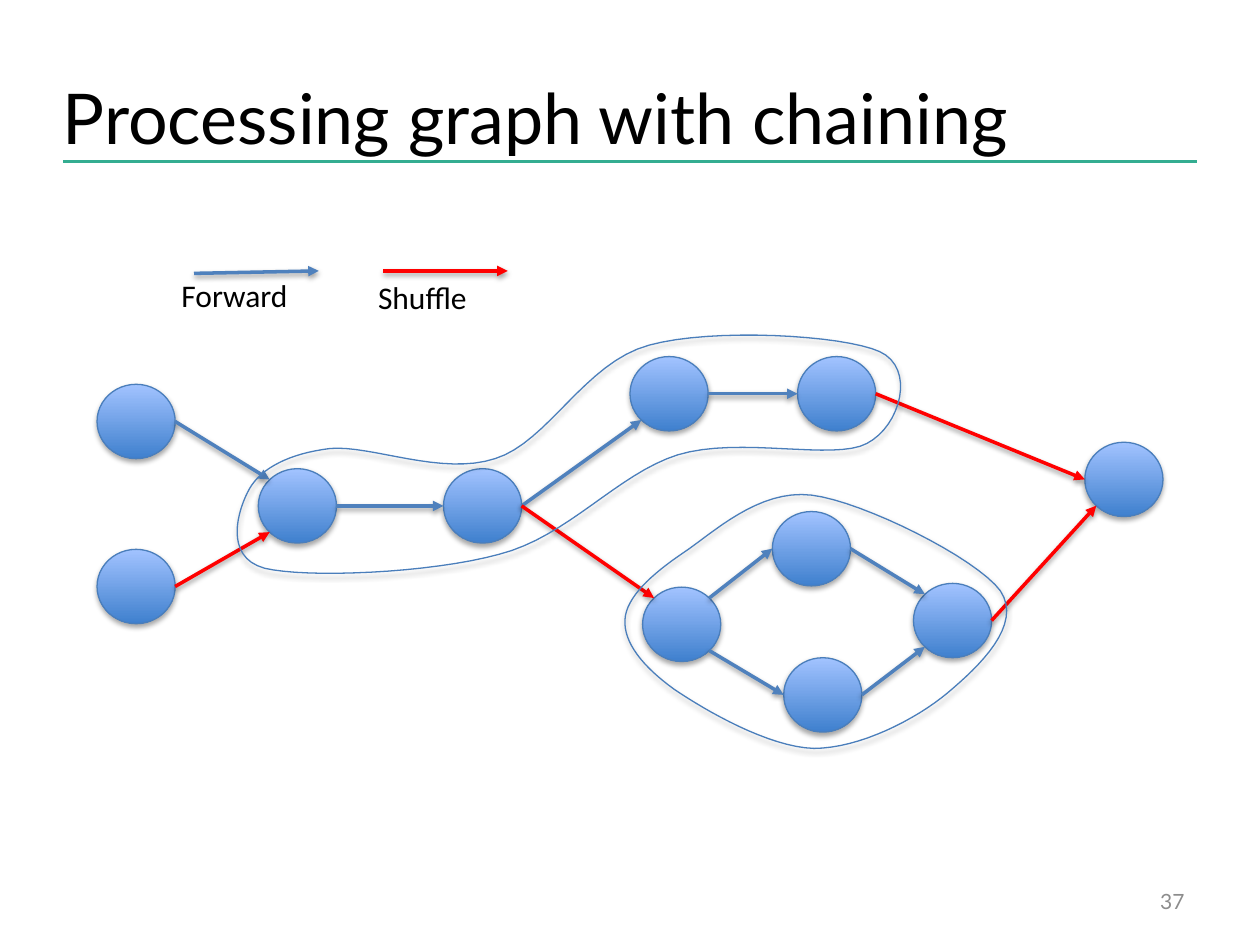
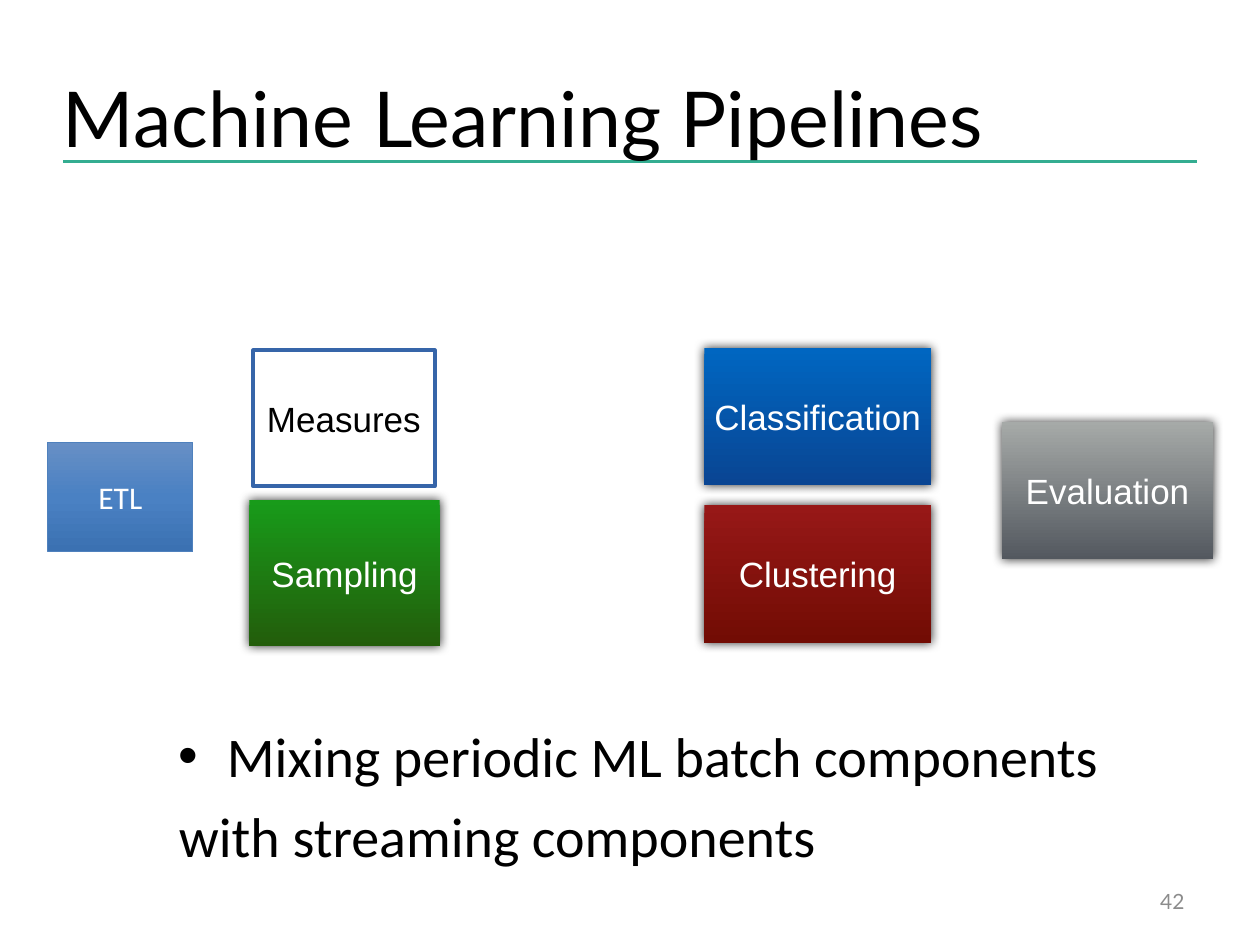
"""Build two slides: a chained processing graph and a machine learning pipeline."""
from copy import deepcopy
from dataclasses import dataclass

from lxml.etree import SubElement
from pptx import Presentation
from pptx.dml.color import RGBColor
from pptx.enum.shapes import MSO_CONNECTOR, MSO_SHAPE
from pptx.enum.text import MSO_ANCHOR, PP_ALIGN
from pptx.oxml.ns import qn
from pptx.util import Inches, Pt


@dataclass(frozen=True)
class Theme:
    """Colours, fonts, type sizes and shadows of the deck."""
    ink: str = "000000"
    paper: str = "FFFFFF"
    rule: str = "34AD91"
    page: str = "8C8C8C"
    forward: str = "4F81BD"
    shuffle: str = "FF0000"
    outline: str = "4A7EBB"
    frame: str = "3665A9"
    node: tuple = ("A2C3FF", "3F80CE")
    etl: tuple = ("678FC5", "4A81C3", "3B71B2")
    sampling: tuple = ("189B1A", "235D0B")
    classification: tuple = ("0066C1", "094593")
    evaluation: tuple = ("A6AAA8", "53585F")
    clustering: tuple = ("971817", "720C04")
    heading_font: str = "Lato"
    body_font: str = "Calibri"
    box_font: str = "Arial"
    heading_size: int = 44
    long_heading_size: int = 40
    bullet_size: int = 32
    box_size: int = 20
    label_size: int = 18
    page_size: int = 12
    shape_shadow: tuple = (35, 3, 1.8, 90)
    arrow_shadow: tuple = (38, 3, 1.6, 90)
    box_shadow: tuple = (80, 6, 0, 315)


THEME = Theme()
NODE_WIDTH, NODE_HEIGHT = 0.62, 0.59
DIAGONAL = 0.5 ** 0.5
SITES = {
    "left": (-1, 0), "right": (1, 0),
    "upper left": (-DIAGONAL, -DIAGONAL), "lower left": (-DIAGONAL, DIAGONAL),
    "upper right": (DIAGONAL, -DIAGONAL), "lower right": (DIAGONAL, DIAGONAL),
}
NODES = {
    "top source": (0.77, 3.05), "bottom source": (0.77, 4.36),
    "merge": (2.05, 3.72), "split": (3.52, 3.72),
    "upper first": (5, 2.83), "upper last": (6.33, 2.83),
    "fork": (5.1, 4.66), "fork top": (6.13, 4.06),
    "fork bottom": (6.22, 5.22), "join": (7.25, 4.63),
    "sink": (8.61, 3.51),
}
FORWARD_EDGES = [
    ("top source", "right", "merge", "upper left"),
    ("merge", "right", "split", "left"),
    ("split", "right", "upper first", "lower left"),
    ("upper first", "right", "upper last", "left"),
    ("fork", "upper right", "fork top", "left"),
    ("fork", "lower right", "fork bottom", "left"),
    ("fork top", "right", "join", "upper left"),
    ("fork bottom", "right", "join", "lower left"),
]
SHUFFLE_EDGES = [
    ("bottom source", "right", "merge", "lower left"),
    ("split", "right", "fork", "upper left"),
    ("upper last", "right", "sink", "left"),
    ("join", "right", "sink", "lower left"),
]
LONG_CHAIN = [
    (2.1, 4.51),
    (1.77, 4.42), (1.89, 4.04), (1.98, 3.88),
    (2.07, 3.72), (2.29, 3.6), (2.62, 3.56),
    (2.94, 3.53), (3.51, 3.78), (3.93, 3.64),
    (4.35, 3.51), (4.64, 2.88), (5.15, 2.74),
    (5.66, 2.6), (6.69, 2.66), (6.98, 2.79),
    (7.27, 2.92), (7.15, 3.38), (6.88, 3.52),
    (6.62, 3.66), (5.87, 3.46), (5.38, 3.61),
    (4.9, 3.76), (4.51, 4.26), (3.96, 4.4),
    (3.41, 4.55), (2.43, 4.59), (2.1, 4.51),
]
DIAMOND_CHAIN = [
    (4.96, 4.92),
    (4.97, 4.74), (5.17, 4.56), (5.42, 4.39),
    (5.66, 4.23), (6.02, 3.88), (6.44, 3.93),
    (6.85, 3.98), (7.75, 4.43), (7.94, 4.69),
    (8.12, 4.96), (7.77, 5.29), (7.52, 5.5),
    (7.27, 5.71), (6.82, 5.94), (6.46, 5.94),
    (6.1, 5.93), (5.6, 5.64), (5.35, 5.47),
    (5.1, 5.29), (4.95, 5.1), (4.96, 4.92),
]


def rgb(colour):
    """Turn a hex string into a colour."""
    return RGBColor.from_string(colour)


def set_shadow(shape, shadow=None):
    """Replace the inherited shadow with the given one, or with none."""
    effects = SubElement(shape._element.spPr, qn("a:effectLst"))
    if shadow:
        opacity, blur, distance, angle = shadow
        outer = SubElement(effects, qn("a:outerShdw"), blurRad=str(Pt(blur)),
                           dist=str(Pt(distance)), dir=str(angle * 60000), rotWithShape="0")
        black = SubElement(outer, qn("a:srgbClr"), val=THEME.ink)
        SubElement(black, qn("a:alpha"), val=str(opacity * 1000))


def set_line(shape, colour, width):
    """Give a shape a solid line."""
    shape.line.color.rgb = rgb(colour)
    shape.line.width = Pt(width)


def set_gradient(shape, colours):
    """Fill a shape from top to bottom with evenly spaced colours."""
    shape.fill.gradient()
    shape.fill.gradient_angle = 270
    stop_list = shape._element.spPr.find(".//" + qn("a:gsLst"))
    for _ in colours[2:]:
        stop_list.append(deepcopy(stop_list[0]))
    for index, (stop, colour) in enumerate(zip(shape.fill.gradient_stops, colours)):
        stop.position = index / (len(colours) - 1)
        stop.color.rgb = rgb(colour)


def add_run(paragraph, text, font, size, colour):
    """Add one formatted run."""
    run = paragraph.add_run()
    run.text = text
    run.font.name = font
    run.font.size = Pt(size)
    run.font.color.rgb = rgb(colour)


def set_frame(shape, anchor, margins):
    """Set wrapping, anchor and margins, and return the first paragraph."""
    frame = shape.text_frame
    frame.word_wrap = True
    frame.vertical_anchor = anchor
    frame.margin_left = frame.margin_right = Inches(margins[0])
    frame.margin_top = frame.margin_bottom = Inches(margins[1])
    return frame.paragraphs[0]


def add_text(slide, at, text, font, size, colour=THEME.ink, anchor=MSO_ANCHOR.TOP,
             align=PP_ALIGN.LEFT, margins=(0, 0)):
    """Add a text box with one run and return it."""
    box = slide.shapes.add_textbox(*map(Inches, at))
    paragraph = set_frame(box, anchor, margins)
    paragraph.alignment = align
    add_run(paragraph, text, font, size, colour)
    return box


def add_line(slide, start, end, colour):
    """Add a straight line and return it."""
    line = slide.shapes.add_connector(MSO_CONNECTOR.STRAIGHT, *map(Inches, (*start, *end)))
    set_line(line, colour, 2)
    return line


def add_arrow(slide, start, end, colour):
    """Add a shadowed arrow."""
    arrow = add_line(slide, start, end, colour)
    SubElement(arrow.line._get_or_add_ln(), qn("a:tailEnd"), type="triangle")
    set_shadow(arrow, THEME.arrow_shadow)


def add_base(deck, title, title_size, page):
    """Add a blank slide with the shared rule, title and page number."""
    slide = deck.slides.add_slide(deck.slide_layouts[6])
    set_shadow(add_line(slide, (0.5, 1.28), (9.5, 1.28), THEME.rule))
    add_text(slide, (0.5, 0.3, 9, 1.25), title, THEME.heading_font, title_size,
             anchor=MSO_ANCHOR.MIDDLE)
    add_text(slide, (7.17, 6.95, 2.33, 0.4), page, THEME.heading_font, THEME.page_size,
             THEME.page, MSO_ANCHOR.MIDDLE, PP_ALIGN.RIGHT, (0.1, 0.05))
    return slide


def add_node(slide, left, top):
    """Add one graph node."""
    node = slide.shapes.add_shape(MSO_SHAPE.OVAL, *map(Inches, (left, top, NODE_WIDTH, NODE_HEIGHT)))
    set_gradient(node, THEME.node)
    set_line(node, THEME.outline, 0.75)
    set_shadow(node, THEME.shape_shadow)


def site(name, side):
    """Return the point on a node's edge at the given side."""
    left, top = NODES[name]
    across, down = SITES[side]
    return left + NODE_WIDTH / 2 * (1 + across), top + NODE_HEIGHT / 2 * (1 + down)


def bezier(controls, t):
    """Return the point at t on a cubic curve, in whole length units."""
    weights = ((1 - t) ** 3, 3 * t * (1 - t) ** 2, 3 * t * t * (1 - t), t ** 3)
    return tuple(Inches(sum(w * value for w, value in zip(weights, axis)))
                 for axis in zip(*controls))


def add_chain(slide, controls, steps=16):
    """Outline chained nodes with a smooth closed curve."""
    points = [bezier(controls[start:start + 4], step / steps)
              for start in range(0, len(controls) - 1, 3)
              for step in range(steps)]
    builder = slide.shapes.build_freeform(*points[0])
    builder.add_line_segments(points[1:], close=True)
    chain = builder.convert_to_shape()
    chain.fill.background()
    set_line(chain, THEME.outline, 0.75)
    set_shadow(chain, THEME.shape_shadow)


def add_stage(slide, at, name, colours=None, border=None, shadow=THEME.box_shadow,
              font=THEME.box_font, size=THEME.box_size):
    """Add one pipeline stage, with a plain face if it has no colours."""
    stage = slide.shapes.add_shape(MSO_SHAPE.RECTANGLE, *map(Inches, at))
    if colours:
        set_gradient(stage, colours)
    else:
        stage.fill.background()
    if border:
        set_line(stage, *border)
    else:
        stage.line.fill.background()
    set_shadow(stage, shadow)
    paragraph = set_frame(stage, MSO_ANCHOR.MIDDLE, (0.06, 0.06))
    paragraph.alignment = PP_ALIGN.CENTER
    add_run(paragraph, name, font, size, THEME.paper if colours else THEME.ink)


def add_graph_slide(deck):
    """Add the slide with the processing graph."""
    slide = add_base(deck, "Processing graph with chaining", THEME.long_heading_size, "37")
    for corner in NODES.values():
        add_node(slide, *corner)
    for edges, colour in ((FORWARD_EDGES, THEME.forward), (SHUFFLE_EDGES, THEME.shuffle)):
        for source, source_side, target, target_side in edges:
            add_arrow(slide, site(source, source_side), site(target, target_side), colour)
    for controls in (LONG_CHAIN, DIAMOND_CHAIN):
        add_chain(slide, controls)
    add_arrow(slide, (1.54, 2.17), (2.53, 2.15), THEME.forward)
    add_text(slide, (1.44, 2.19, 1.07, 0.45), "Forward", THEME.body_font, THEME.label_size)
    add_arrow(slide, (3.04, 2.15), (4.03, 2.15), THEME.shuffle)
    add_text(slide, (3, 2.21, 0.92, 0.45), "Shuffle", THEME.body_font, THEME.label_size)


def add_pipeline_slide(deck):
    """Add the slide with the pipeline stages."""
    slide = add_base(deck, "Machine Learning Pipelines", THEME.heading_size, "42")
    add_stage(slide, (1.98, 3.97, 1.51, 1.16), "Sampling", THEME.sampling)
    add_stage(slide, (5.59, 2.76, 1.8, 1.09), "Classification", THEME.classification)
    add_stage(slide, (2.01, 2.78, 1.44, 1.08), "Measures", border=(THEME.frame, 2.25), shadow=None)
    add_stage(slide, (7.95, 3.35, 1.68, 1.09), "Evaluation", THEME.evaluation)
    add_stage(slide, (5.59, 4.01, 1.8, 1.09), "Clustering", THEME.clustering)
    add_stage(slide, (0.38, 3.51, 1.15, 0.87), "ETL", THEME.etl, (THEME.forward, 0.5), None,
              THEME.body_font, THEME.label_size)
    summary = add_text(slide, (1.42, 5.73, 8.22, 1.23), "Mixing periodic ML batch components",
                       THEME.body_font, THEME.bullet_size).text_frame
    add_run(summary.add_paragraph(), "with streaming components", THEME.body_font,
            THEME.bullet_size, THEME.ink)
    for paragraph in summary.paragraphs:
        paragraph.space_before = Pt(7)
    bulleted = summary.paragraphs[0]._p.get_or_add_pPr()
    bulleted.set("marL", str(Inches(0.38)))
    bulleted.set("indent", str(Inches(-0.38)))
    SubElement(bulleted, qn("a:buFont"), typeface=THEME.box_font)
    SubElement(bulleted, qn("a:buChar"), char="•")


def main():
    """Build and save the deck."""
    deck = Presentation()
    deck.slide_width, deck.slide_height = Inches(10), Inches(7.5)
    add_graph_slide(deck)
    add_pipeline_slide(deck)
    deck.save("out.pptx")


if __name__ == "__main__":
    main()
